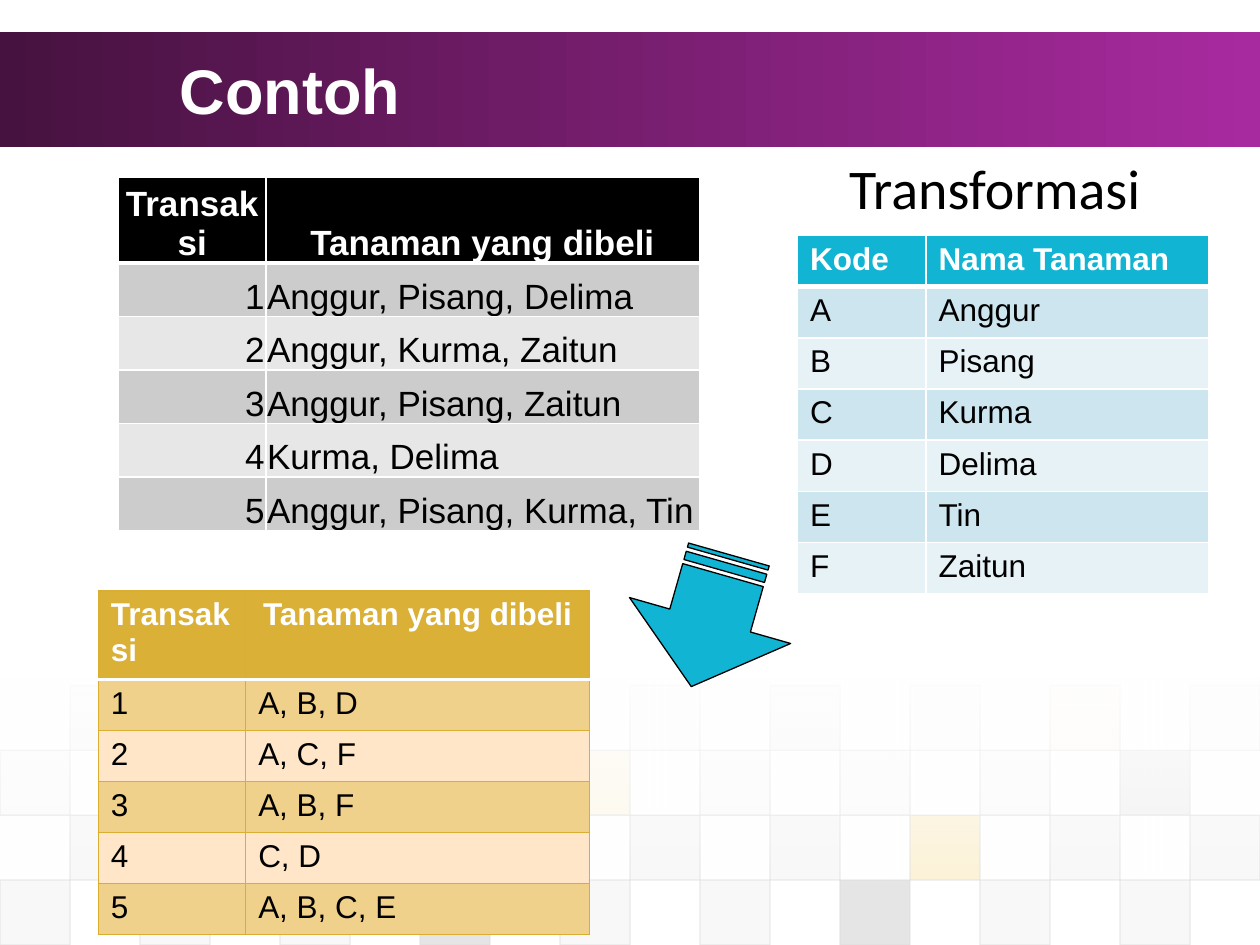
import dataclasses
import pptx
import pptx.dml.color
import pptx.enum.shapes
import pptx.enum.text
import pptx.oxml
import pptx.oxml.ns
import pptx.util

ALIGN = pptx.enum.text.PP_ALIGN
ANCHOR = pptx.enum.text.MSO_ANCHOR
SHAPE = pptx.enum.shapes.MSO_SHAPE
Pt = pptx.util.Pt
qn = pptx.oxml.ns.qn


@dataclasses.dataclass(frozen=True)
class Theme:
    white: str = "FFFFFF"
    black: str = "000000"
    plum: str = "46123F"
    pink: str = "A82A9F"
    cyan: str = "12B4D4"
    gold: str = "DAB036"
    edge: str = "D9AE31"
    tile: str = "DDDDDD"
    dark: tuple = ("000000", "CCCCCC", "E7E7E7")
    cool: tuple = ("12B4D4", "CCE5EF", "E7F2F7")
    warm: tuple = ("DAB036", "F0D18B", "FFE6C8")
    sans: str = "Arial"
    soft: str = "Calibri"
    title: int = 36
    head: int = 32
    large: int = 20
    small: int = 18


def rgb(hue):
    return pptx.dml.color.RGBColor.from_string(hue)


def fade(node, share):
    for hue in node.iter(qn("a:srgbClr")):
        hue.makeelement(qn("a:alpha"), {})
        alpha = pptx.oxml.parse_xml(
            f'<a:alpha {pptx.oxml.ns.nsdecls("a")} val="{share * 1000}"/>')
        hue.append(alpha)


class Deck:
    cols, rows = 100, 75

    def __init__(self, theme):
        self.theme = theme
        self.file = pptx.Presentation()
        self.file.slide_width = pptx.util.Inches(10)
        self.file.slide_height = pptx.util.Inches(7.5)
        self.slide = self.file.slides.add_slide(self.file.slide_layouts[6])

    def x(self, col):
        return round(self.file.slide_width * col / self.cols)

    def y(self, row):
        return round(self.file.slide_height * row / self.rows)

    def area(self, left, top, width, height):
        return self.x(left), self.y(top), self.x(width), self.y(height)

    def style(self, para, size, hue, font, bold=False):
        for run in para.runs:
            run.font.size = Pt(size)
            run.font.name = font
            run.font.bold = bold
            run.font.color.rgb = rgb(hue)

    def shape(self, kind, area, hue=None, line=None, turn=0):
        shape = self.slide.shapes.add_shape(kind, *self.area(*area))
        shape.shadow.inherit = False
        shape.rotation = turn
        if hue:
            shape.fill.solid()
            shape.fill.fore_color.rgb = rgb(hue)
        if line:
            shape.line.color.rgb = rgb(line)
            shape.line.width = Pt(0.75)
        else:
            shape.line.fill.background()
        return shape

    def blend(self, area, hues, angle, alphas=()):
        fill = self.shape(SHAPE.RECTANGLE, area).fill
        fill.gradient()
        fill.gradient_angle = angle
        for stop, place, hue in zip(fill.gradient_stops, (0, 1), hues):
            stop.position = place
            stop.color.rgb = rgb(hue)
        shape = self.slide.shapes[-1]
        stops = shape._element.spPr.iter(qn("a:gs"))
        for stop, share in zip(stops, alphas):
            fade(stop, share)

    def tiles(self, top, high, bands):
        hues = {"D": self.theme.tile, "E": "EAEAEA", "G": "808080", "Y": "F1C23D"}
        wide = self.cols / 18
        for row, (marks, share) in enumerate(bands):
            for step, mark in enumerate(marks):
                col = 2 * step + (row + 1) % 2
                area = (col * wide, top + row * high, wide, high)
                shape = self.shape(SHAPE.RECTANGLE, area, hues[mark], self.theme.tile)
                fade(shape._element.spPr.find(qn("a:solidFill")), share)
                fade(shape._element.spPr.find(qn("a:ln")), 60)

    def text(self, words, area, size, hue, font, bold=False, anchor=ANCHOR.TOP):
        frame = self.slide.shapes.add_textbox(*self.area(*area)).text_frame
        frame.word_wrap = True
        frame.vertical_anchor = anchor
        frame.text = words
        self.style(frame.paragraphs[0], size, hue, font, bold)

    def border(self, cell, lines):
        props = cell._tc.get_or_add_tcPr()
        for side, (hue, width) in zip("LRTB", lines):
            props.append(pptx.oxml.parse_xml(
                f'<a:ln{side} {pptx.oxml.ns.nsdecls("a")} w="{Pt(width)}">'
                f'<a:solidFill><a:srgbClr val="{hue}"/></a:solidFill></a:ln{side}>'))

    def table(self, spot, wide, high, data, hues, size, edge, rule,
              heads=(ALIGN.LEFT, ALIGN.LEFT), body=(ALIGN.LEFT, ALIGN.LEFT),
              tight=False):
        area = (*spot, sum(wide), high * len(data))
        grid = self.slide.shapes.add_table(len(data), len(wide), *self.area(*area)).table
        grid.first_row = grid.horz_banding = False
        for col, width in zip(grid.columns, wide):
            col.width = self.x(width)
        for i, line in enumerate(data):
            grid.rows[i].height = self.y(high)
            fill = hues[0] if i == 0 else hues[2 - i % 2]
            for j, words in enumerate(line):
                cell = grid.cell(i, j)
                self.border(cell, (edge, edge, rule if i == 1 else edge,
                                   rule if i == 0 else edge))
                cell.fill.solid()
                cell.fill.fore_color.rgb = rgb(fill)
                if tight:
                    cell.margin_left = cell.margin_right = cell.margin_top = self.x(0.1)
                    cell.margin_bottom = 0
                    cell.vertical_anchor = ANCHOR.BOTTOM
                cell.text_frame.text = words
                para = cell.text_frame.paragraphs[0]
                para.alignment = (body if i else heads)[j]
                self.style(para, size, self.theme.black if i else self.theme.white,
                           self.theme.sans, i == 0)


def main():
    theme = Theme()
    deck = Deck(theme)
    deck.blend((0, 2.5, 100, 9.2), (theme.plum, theme.pink), 0)
    deck.tiles(54.4, 5.15, (("GEEGDGEYE", 5), ("DDDDYDDDG", 10),
                            ("DYDDDDYDD", 20), ("DDDGDDGDD", 20)))
    deck.blend((0, 53.7, 100, 16.2), (theme.white, theme.white), 270, (90, 0))
    deck.text("Contoh", (13.3, 2.5, 80.8, 9.2), theme.title, theme.white,
              theme.sans, True, ANCHOR.MIDDLE)
    deck.text("Transformasi", (66.4, 11.7, 30.5, 57.4), theme.head, theme.black,
              theme.soft)

    names = ("Anggur", "Pisang", "Kurma", "Delima", "Tin", "Zaitun")
    codes = dict(zip(names, "ABCDEF"))
    sales = (("Anggur", "Pisang", "Delima"), ("Anggur", "Kurma", "Zaitun"),
             ("Anggur", "Pisang", "Zaitun"), ("Kurma", "Delima"),
             ("Anggur", "Pisang", "Kurma", "Tin"))
    top = ("Transaksi", "Tanaman yang dibeli")
    plain = [top] + [(str(n), ", ".join(sale)) for n, sale in enumerate(sales, 1)]
    coded = [top] + [(str(n), ", ".join(codes[name] for name in sale))
                     for n, sale in enumerate(sales, 1)]
    keys = [("Kode", "Nama Tanaman")] + [(codes[name], name) for name in names]

    thin, thick = (theme.white, 1), (theme.white, 3)
    deck.table((9.4, 14.1), (11.7, 34.4), 4.25, plain, theme.dark, theme.large,
               thin, thick, (ALIGN.CENTER, ALIGN.CENTER),
               (ALIGN.RIGHT, ALIGN.JUSTIFY), True)
    deck.table((63.3, 18.7), (10.2, 22.4), 4.06, keys, theme.cool, theme.small,
               thin, thick)
    deck.shape(SHAPE.STRIPED_RIGHT_ARROW, (50.9, 42.6, 10.9, 13.3), theme.cyan,
               theme.black, 105.9)
    deck.table((7.8, 46.9), (11.7, 27.3), 4.06, coded, theme.warm, theme.small,
               (theme.edge, 0.75), (theme.white, 2), (ALIGN.LEFT, ALIGN.CENTER))
    deck.file.save("out.pptx")


if __name__ == "__main__":
    main()
